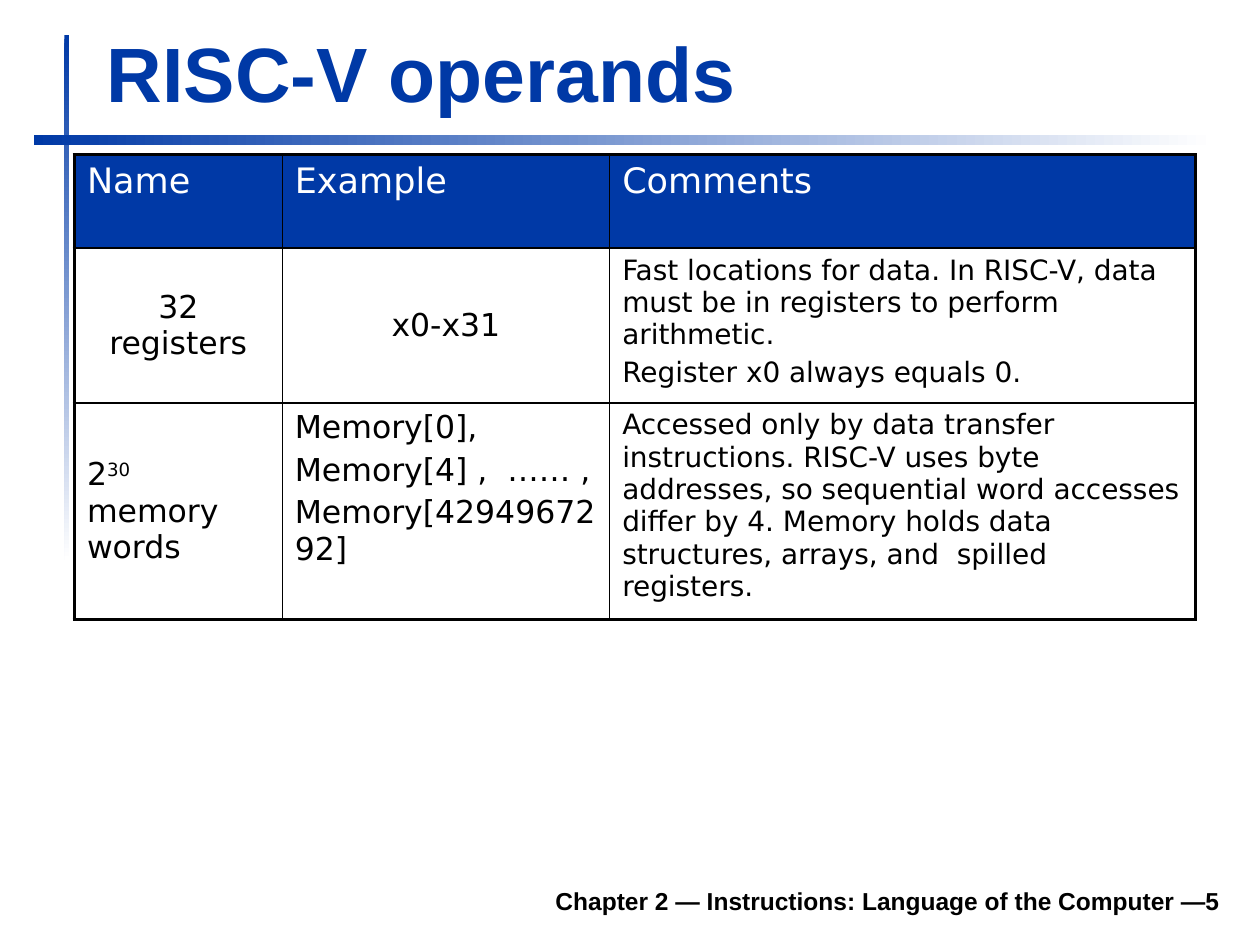
"""Build the RISC-V operands slide."""
from lxml import etree
from pptx import Presentation
from pptx import util as u
from pptx.dml.color import RGBColor
from pptx.enum import shapes, text as t
from pptx.oxml import ns

BLUE, WHITE, BLACK = "0039A6", "FFFFFF", "000000"
LEFT, CENTER, RIGHT = t.PP_ALIGN.LEFT, t.PP_ALIGN.CENTER, t.PP_ALIGN.RIGHT
TOP, MIDDLE, BOTTOM = t.MSO_ANCHOR.TOP, t.MSO_ANCHOR.MIDDLE, t.MSO_ANCHOR.BOTTOM


def color(value):
    return RGBColor.from_string(value)


def write(frame, text, size=18, font="DejaVu Sans", fill=BLACK, bold=False, align=LEFT):
    """Write one paragraph per line, raising any part set between carets."""
    frame.word_wrap = True
    for index, line in enumerate(text.split("\n")):
        paragraph = frame.add_paragraph() if index else frame.paragraphs[0]
        paragraph.alignment = align
        paragraph.space_before = u.Pt(0.2 * size if index else 0)
        for part, words in enumerate(line.split("^")):
            run = paragraph.add_run()
            run.text = words
            run.font.size, run.font.name, run.font.bold = u.Pt(size), font, bold
            run.font.color.rgb = color(fill)
            if part % 2:
                run._r.get_or_add_rPr().set("baseline", "30000")


def set_border(cell, side, width):
    properties = cell._tc.get_or_add_tcPr()
    line = etree.SubElement(properties, ns.qn(f"a:ln{side}"), w=str(u.Pt(width)))
    solid = etree.SubElement(line, ns.qn("a:solidFill"))
    etree.SubElement(solid, ns.qn("a:srgbClr"), val=BLACK)


class Deck:
    """Hold the style and the current slide."""

    heading = {"font": "Arial", "bold": True}
    thin, thick = 1, 2.25

    def __init__(self):
        self.presentation = Presentation()
        self.presentation.slide_width = u.Cm(25.4)
        self.presentation.slide_height = u.Cm(19.05)
        self.slide = self.presentation.slides.add_slide(self.presentation.slide_layouts[5])

    def bar(self, left, top, width, height, angle):
        shape = self.slide.shapes.add_shape(
            shapes.MSO_SHAPE.RECTANGLE, *map(u.Cm, (left, top, width, height)))
        shape.shadow.inherit = False
        shape.line.fill.background()
        shape.fill.gradient()
        shape.fill.gradient_angle = angle
        for stop, value in zip(shape.fill.gradient_stops, (BLUE, WHITE)):
            stop.color.rgb = color(value)

    def title(self, text, left, top, width, height):
        shape = self.slide.shapes.title
        shape.left, shape.top, shape.width, shape.height = map(u.Cm, (left, top, width, height))
        shape.text_frame.vertical_anchor = BOTTOM
        shape.text_frame.auto_size = t.MSO_AUTO_SIZE.SHAPE_TO_FIT_TEXT
        write(shape.text_frame, text, size=44, fill=BLUE, **self.heading)

    def footer(self, text, left, top, width, height):
        shape = self.slide.shapes.add_textbox(*map(u.Cm, (left, top, width, height)))
        shape.text_frame.vertical_anchor = MIDDLE
        write(shape.text_frame, text, size=14, align=RIGHT, **self.heading)

    def table(self, left, top, widths, heights, rows):
        table = self.slide.shapes.add_table(
            len(heights), len(widths),
            *map(u.Cm, (left, top, sum(widths), sum(heights)))).table
        table.first_row = table.horz_banding = False
        for column, width in zip(table.columns, widths):
            column.width = u.Cm(width)
        for row, height in zip(table.rows, heights):
            row.height = u.Cm(height)
        last_row, last_column = len(heights) - 1, len(widths) - 1
        for r, row in enumerate(rows):
            for c, (text, anchor, style) in enumerate(row):
                cell = table.cell(r, c)
                edges = {"L": c == 0, "R": c == last_column, "T": r == 0, "B": r == last_row}
                for side, outer in edges.items():
                    set_border(cell, side, self.thick if outer else self.thin)
                cell.fill.solid()
                cell.fill.fore_color.rgb = color(WHITE if r else BLUE)
                cell.vertical_anchor = anchor
                write(cell.text_frame, text, **style)


def main():
    deck = Deck()
    deck.bar(1.3, 0.71, 0.1, 10.59, angle=270)
    deck.bar(0.69, 2.72, 23.8, 0.2, angle=0)
    deck.title("RISC-V operands", 1.9, 0.38, 22.94, 2.13)
    header = {"size": 20, "fill": WHITE}
    centered, comment = {"align": CENTER}, {"size": 16}
    rows = [
        [(name, TOP, header) for name in ("Name", "Example", "Comments")],
        [("32 registers", MIDDLE, centered),
         ("x0-x31", MIDDLE, centered),
         ("Fast locations for data. In RISC-V, data must be in registers to perform "
          "arithmetic.\nRegister x0 always equals 0.", TOP, comment)],
        [("2^30^ memory words", MIDDLE, {}),
         ("Memory[0],\nMemory[4] ,  …… ,\nMemory[4294967292]", TOP, {}),
         ("Accessed only by data transfer instructions. RISC-V uses byte addresses, so "
          "sequential word accesses differ by 4. Memory holds data structures, arrays, "
          "and  spilled registers.", TOP, comment)],
    ]
    deck.table(1.5, 3.12, (4.19, 6.6, 11.81), (1.88, 3.12, 4.37), rows)
    deck.footer("Chapter 2 — Instructions: Language of the Computer —5", 7.32, 17.65, 17.53, 1.02)
    deck.presentation.save("out.pptx")


if __name__ == "__main__":
    main()
